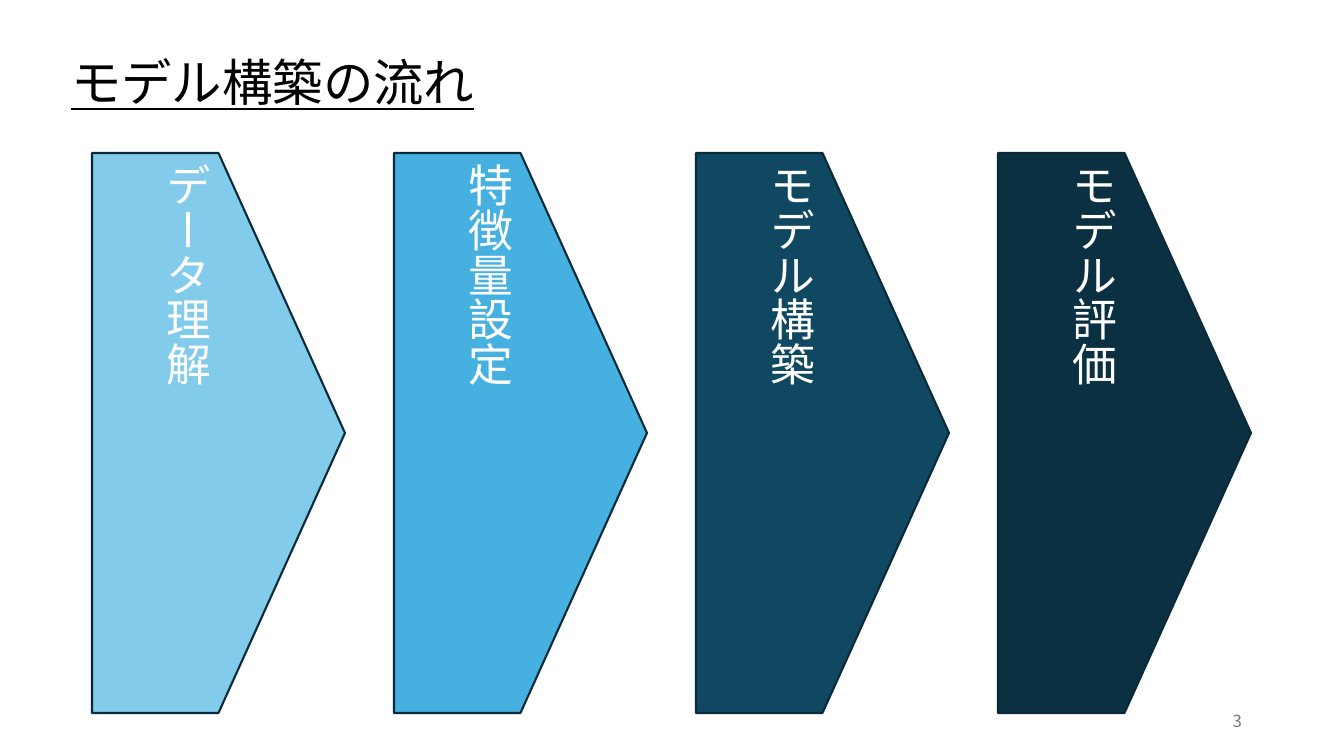
from dataclasses import dataclass

from pptx import Presentation
from pptx.dml.color import RGBColor
from pptx.enum.shapes import MSO_SHAPE
from pptx.enum.text import MSO_ANCHOR, PP_ALIGN
from pptx.oxml.ns import qn
from pptx.util import Emu, Pt

PENTAGON = MSO_SHAPE.PENTAGON
TOP, MIDDLE = MSO_ANCHOR.TOP, MSO_ANCHOR.MIDDLE
LEFT, CENTER, RIGHT = PP_ALIGN.LEFT, PP_ALIGN.CENTER, PP_ALIGN.RIGHT

TITLE = "モデル構築の流れ"
PAGE_NUMBER = "3"
STEPS = [
    ("データ理解", "83CBEB"),
    ("特徴量設定", "46B1E1"),
    ("モデル構築", "104862"),
    ("モデル評価", "0B3041"),
]


@dataclass(frozen=True)
class Theme:
    font: str = "Noto Sans CJK JP"
    title_color: str = "000000"
    step_color: str = "FFFFFF"
    number_color: str = "797979"
    outline: str = "092A39"
    title_size: int = 36
    step_size: int = 32
    number_size: int = 12
    outline_width: float = 1.5


THEME = Theme()

PAGE_SIZE = (1344, 756)
TITLE_BOX = (61, 46, 801, 72)
NUMBER_BOX = (950, 701, 302, 40)
FIRST_STEP = (92, 153, 253, 560)
STEP_PITCH = 302


def px(*lengths):
    """Turn pixel lengths (100.8 to the inch) into EMU."""
    return [Emu(round(length * 914400 / 100.8)) for length in lengths]


def place(shape, box):
    shape.left, shape.top, shape.width, shape.height = px(*box)


def write(shape, text, *, size, color, align=LEFT, anchor=MIDDLE,
          underline=None, vertical=False):
    frame = shape.text_frame
    frame.word_wrap = True
    frame.vertical_anchor = anchor
    if vertical:
        frame._txBody.bodyPr.set("vert", "eaVert")
    para = frame.paragraphs[0]
    para.alignment = align
    span = para.add_run()
    span.text = text
    span.font.size = Pt(size)
    span.font.underline = underline
    span.font.color.rgb = RGBColor.from_string(color)
    span.font.name = THEME.font
    east_asian = span.font._element.makeelement(qn("a:ea"), {"typeface": THEME.font})
    span.font._element.find(qn("a:latin")).addnext(east_asian)


def add_step(page, index, label, fill):
    left, top, width, height = FIRST_STEP
    arrow = page.shapes.add_shape(
        PENTAGON, *px(left + index * STEP_PITCH, top, width, height))
    arrow.shadow.inherit = False
    arrow.fill.solid()
    arrow.fill.fore_color.rgb = RGBColor.from_string(fill)
    arrow.line.color.rgb = RGBColor.from_string(THEME.outline)
    arrow.line.width = Pt(THEME.outline_width)
    write(arrow, label, size=THEME.step_size, color=THEME.step_color,
          align=CENTER, vertical=True)


def main():
    deck = Presentation()
    deck.slide_width, deck.slide_height = px(*PAGE_SIZE)
    title_only = deck.slide_layouts[5]
    page = deck.slides.add_slide(title_only)

    title = page.shapes.title
    place(title, TITLE_BOX)
    write(title, TITLE, size=THEME.title_size, color=THEME.title_color,
          anchor=TOP, underline=True)

    for index, (label, fill) in enumerate(STEPS):
        add_step(page, index, label, fill)

    number = page.shapes.add_textbox(*px(*NUMBER_BOX))
    write(number, PAGE_NUMBER, size=THEME.number_size,
          color=THEME.number_color, align=RIGHT)

    deck.save("out.pptx")


if __name__ == "__main__":
    main()
